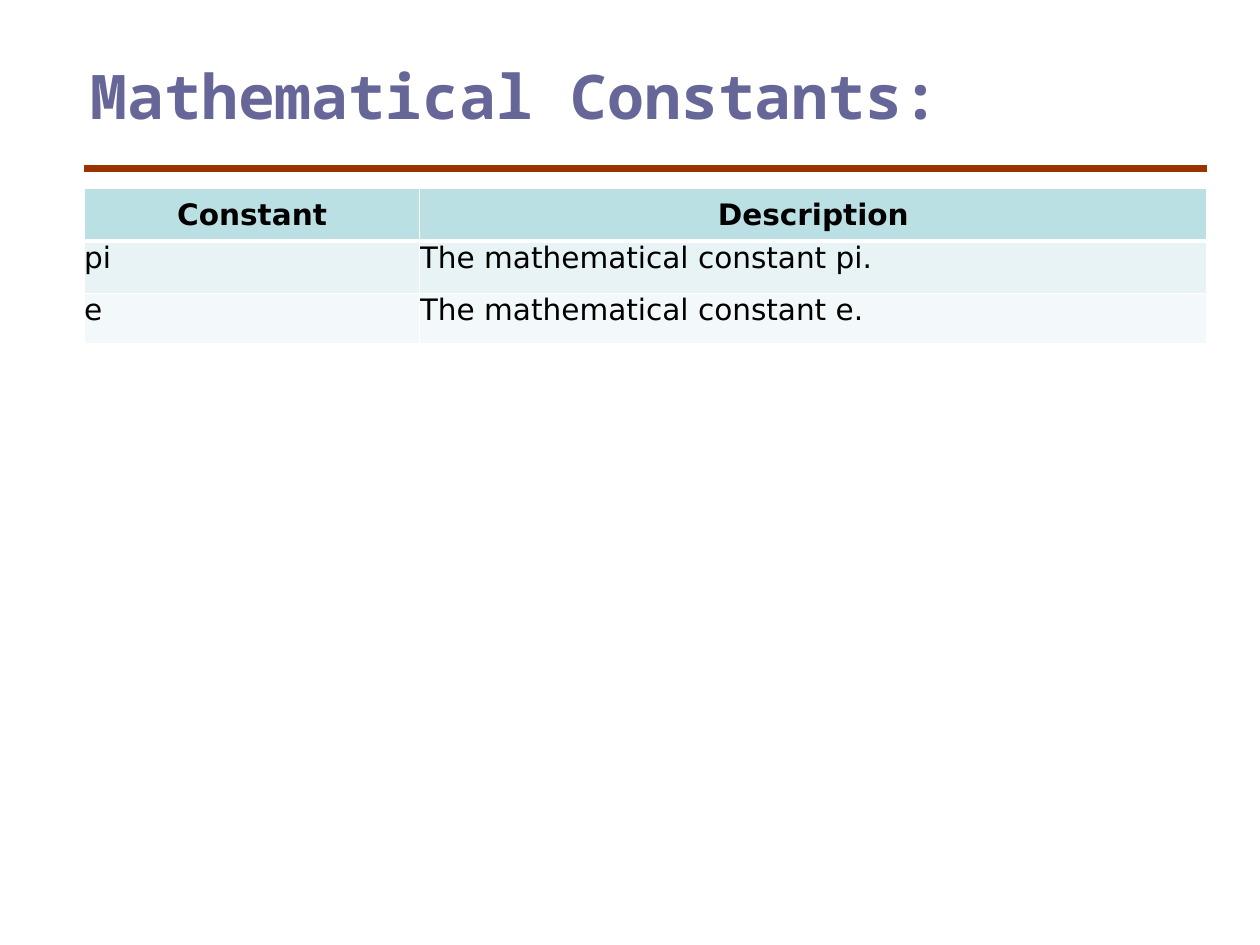
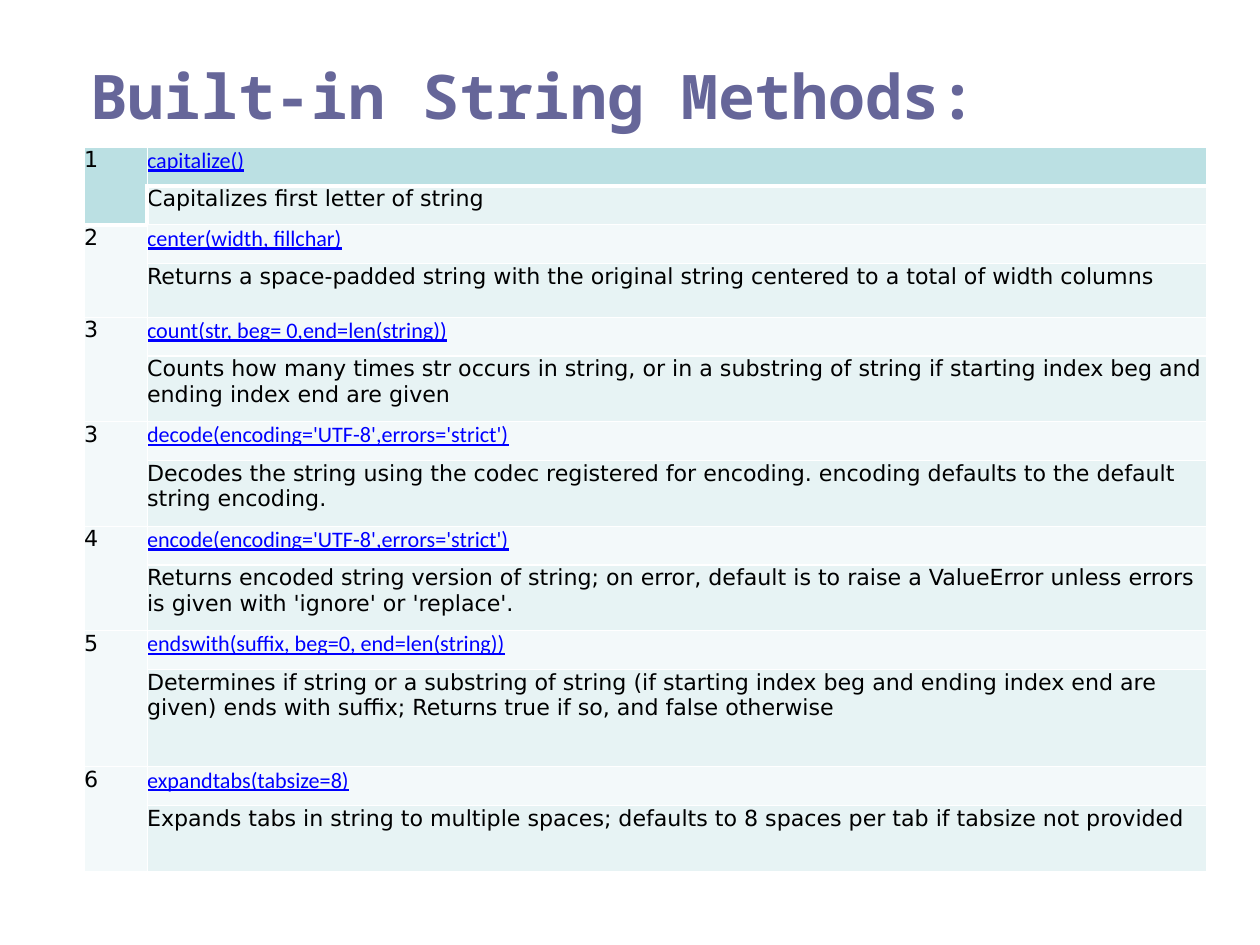
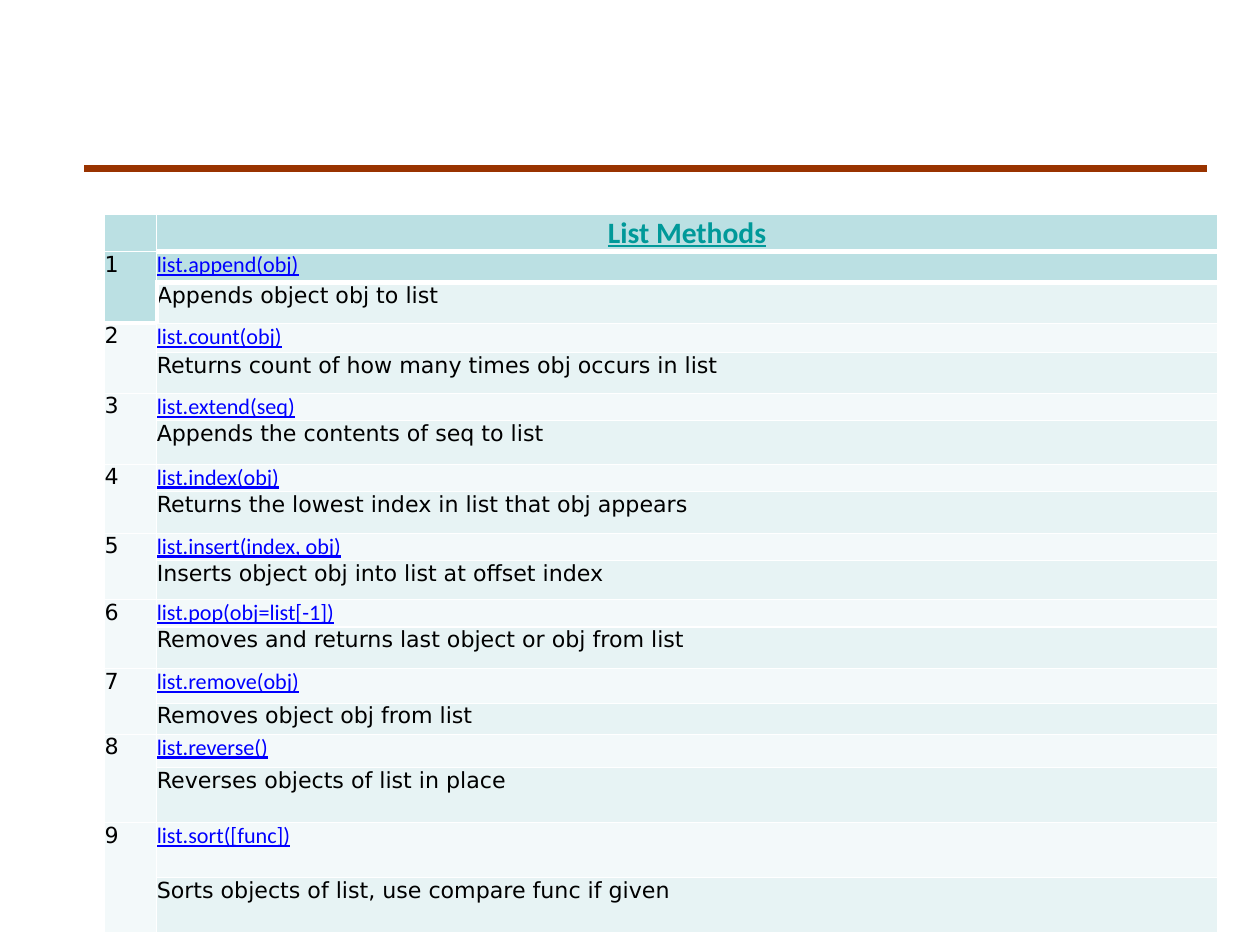
import dataclasses

import lxml.etree
import pptx
import pptx.dml.color
import pptx.enum.shapes
import pptx.enum.text
import pptx.oxml.ns
import pptx.util

ALIGN = pptx.enum.text.PP_ALIGN
ANCHOR = pptx.enum.text.MSO_ANCHOR


@dataclasses.dataclass(frozen=True)
class TextStyle:
    font: str
    size: int
    color: str
    bold: bool = False
    underline: bool = False


@dataclasses.dataclass(frozen=True)
class Theme:
    width: float = 14.22
    height: float = 10.67
    columns: int = 128
    rows: int = 96
    margin: float = 8.55
    content: float = 114.12
    rule_row: float = 17.1
    rule_color: str = "993300"
    rule_width: int = 6
    header_fill: str = "BBE0E3"
    dark_fill: str = "E7F3F4"
    light_fill: str = "F3F9FA"
    border_color: str = "FFFFFF"
    thin: int = 1
    heavy: int = 4
    title: TextStyle = TextStyle("Noto Sans Mono", 50, "666699", bold=True)
    heading: TextStyle = TextStyle("DejaVu Sans", 24, "000000", bold=True)
    large: TextStyle = TextStyle("DejaVu Sans", 24, "000000")
    body: TextStyle = TextStyle("DejaVu Sans", 18, "000000")
    method: TextStyle = TextStyle("Calibri", 18, "0000FF", underline=True)
    caption: TextStyle = TextStyle("Calibri", 24, "009999", bold=True, underline=True)


def rgb(color):
    return pptx.dml.color.RGBColor.from_string(color)


class Deck:
    """Holds the theme and the current slide; lengths are grid columns and rows."""

    def __init__(self, theme):
        self.theme = theme
        self.presentation = pptx.Presentation()
        self.presentation.slide_width = pptx.util.Inches(theme.width)
        self.presentation.slide_height = pptx.util.Inches(theme.height)
        self.slide = None

    def across(self, columns):
        return pptx.util.Inches(self.theme.width * columns / self.theme.columns)

    def down(self, rows):
        return pptx.util.Inches(self.theme.height * rows / self.theme.rows)

    def add_slide(self, title=None, title_rows=9.63):
        layout = self.presentation.slide_layouts[5 if title else 6]
        self.slide = self.presentation.slides.add_slide(layout)
        self.rule()
        if title:
            self.title(title, title_rows)

    def rule(self):
        theme = self.theme
        row = self.down(theme.rule_row)
        line = self.slide.shapes.add_connector(
            pptx.enum.shapes.MSO_CONNECTOR.STRAIGHT,
            self.across(theme.margin), row,
            self.across(theme.margin + theme.content), row)
        line.line.color.rgb = rgb(theme.rule_color)
        line.line.width = pptx.util.Pt(theme.rule_width)
        properties = line._element.spPr
        lxml.etree.SubElement(properties, pptx.oxml.ns.qn("a:effectLst"))

    def title(self, text, rows):
        shape = self.slide.shapes.title
        shape.left, shape.top = self.across(self.theme.margin), self.down(5.31)
        shape.width, shape.height = self.across(self.theme.content), self.down(rows)
        frame = shape.text_frame
        frame.word_wrap = True
        frame.auto_size = pptx.enum.text.MSO_AUTO_SIZE.NONE
        frame.vertical_anchor = ANCHOR.TOP
        inset = pptx.util.Inches(0.07)
        frame.margin_left = frame.margin_right = inset
        frame.margin_top = frame.margin_bottom = inset
        self.text(frame, text, self.theme.title)

    def text(self, frame, text, style, alignment=ALIGN.LEFT):
        paragraph = frame.paragraphs[0]
        paragraph.alignment = alignment
        run = paragraph.add_run()
        run.text = text
        run.font.name = style.font
        run.font.size = pptx.util.Pt(style.size)
        run.font.color.rgb = rgb(style.color)
        run.font.bold = style.bold
        run.font.underline = style.underline

    def table(self, left, top, widths, heights):
        """Adds a plain table with thin borders and no cell margins."""
        frame = self.slide.shapes.add_table(
            len(heights), len(widths), self.across(left), self.down(top),
            self.across(sum(widths)), self.down(sum(heights)))
        table = frame.table
        table.first_row = table.horz_banding = False
        for column, width in zip(table.columns, widths):
            column.width = self.across(width)
        for row, height in zip(table.rows, heights):
            row.height = self.down(height)
        for cell in table.iter_cells():
            cell.margin_left = cell.margin_right = 0
            cell.margin_top = cell.margin_bottom = 0
            self.borders(cell)
        return table

    def borders(self, cell, heavy=""):
        """Draws the four borders; sides named in heavy (of L, R, T, B) are thick."""
        qn = pptx.oxml.ns.qn
        properties = cell._tc.get_or_add_tcPr()
        for position, side in enumerate("LRTB"):
            tag = qn("a:ln" + side)
            for old in properties.findall(tag):
                properties.remove(old)
            points = self.theme.heavy if side in heavy else self.theme.thin
            line = lxml.etree.Element(tag, w=str(pptx.util.Pt(points)))
            fill = lxml.etree.SubElement(line, qn("a:solidFill"))
            lxml.etree.SubElement(fill, qn("a:srgbClr"), val=self.theme.border_color)
            properties.insert(position, line)

    def fill(self, cell, color):
        cell.fill.solid()
        cell.fill.fore_color.rgb = rgb(color)

    def cell(self, cell, text, style, color, heavy="", heading=False):
        self.fill(cell, color)
        self.borders(cell, heavy)
        cell.vertical_anchor = ANCHOR.MIDDLE if heading else ANCHOR.TOP
        self.text(cell.text_frame, text, style, ALIGN.CENTER if heading else ALIGN.LEFT)

    def constants_table(self, header, constants):
        theme = self.theme
        table = self.table(theme.margin, 19.17, [34.11, 79.92], [5.31, 5.31, 5.13])
        for column, text in enumerate(header):
            self.cell(table.cell(0, column), text, theme.heading, theme.header_fill, "B", True)
        for row, texts in enumerate(constants, 1):
            color = theme.dark_fill if row % 2 else theme.light_fill
            for column, text in enumerate(texts):
                self.cell(table.cell(row, column), text, theme.large, color,
                          "T" if row == 1 else "")

    def methods_table(self, left, top, widths, methods, caption=None, caption_rows=3.78):
        """Gives each method a numbered cell that spans its call and its description."""
        theme = self.theme
        heights = [caption_rows] if caption else []
        for *_, call_rows, description_rows in methods:
            heights += [call_rows, description_rows]
        table = self.table(left, top, widths, heights)
        start = 1 if caption else 0
        if caption:
            self.fill(table.cell(0, 0), theme.header_fill)
            self.cell(table.cell(0, 1), caption, theme.caption, theme.header_fill, "B", True)
        for index, (number, call, description, *_) in enumerate(methods):
            row = start + 2 * index
            first = index == 0
            color = theme.header_fill if first else theme.light_fill
            call_borders = ("TB" if caption else "B") if first else ""
            number_cell = table.cell(row, 0)
            number_cell.merge(table.cell(row + 1, 0))
            self.cell(number_cell, number, theme.body, color,
                      "B" if first else "T" if index == 1 else "")
            self.cell(table.cell(row, 1), call, theme.method, color, call_borders)
            self.cell(table.cell(row + 1, 1), description, theme.body, theme.dark_fill,
                      "LT" if first else "")


STRING_METHODS = [
    ("1", "capitalize()", "Capitalizes first letter of string", 3.96, 3.96),
    ("2", "center(width, fillchar)",
     "Returns a space-padded string with the original string centered to a total of "
     "width columns", 3.96, 5.4),
    ("3", "count(str, beg= 0,end=len(string))",
     "Counts how many times str occurs in string, or in a substring of string if "
     "starting index beg and ending index end are given", 3.96, 6.66),
    ("3", "decode(encoding='UTF-8',errors='strict')",
     "Decodes the string using the codec registered for encoding. encoding defaults to "
     "the default string encoding.", 3.96, 6.66),
    ("4", "encode(encoding='UTF-8',errors='strict')",
     "Returns encoded string version of string; on error, default is to raise a "
     "ValueError unless errors is given with 'ignore' or 'replace'.", 3.96, 6.66),
    ("5", "endswith(suffix, beg=0, end=len(string))",
     "Determines if string or a substring of string (if starting index beg and ending "
     "index end are given) ends with suffix; Returns true if so, and false otherwise",
     3.96, 9.9),
    ("6", "expandtabs(tabsize=8)",
     "Expands tabs in string to multiple spaces; defaults to 8 spaces per tab if "
     "tabsize not provided", 3.96, 6.66),
]

LIST_METHODS = [
    ("1", "list.append(obj)", "Appends object obj to list", 3.15, 4.14),
    ("2", "list.count(obj)", "Returns count of how many times obj occurs in list", 2.97, 4.14),
    ("3", "list.extend(seq)", "Appends the contents of seq to list", 2.79, 4.41),
    ("4", "list.index(obj)", "Returns the lowest index in list that obj appears", 2.79, 4.23),
    ("5", "list.insert(index, obj)", "Inserts object obj into list at offset index", 2.79, 3.96),
    ("6", "list.pop(obj=list[-1])", "Removes and returns last object or obj from list",
     2.79, 4.23),
    ("7", "list.remove(obj)", "Removes object obj from list", 3.51, 3.15),
    ("8", "list.reverse()", "Reverses objects of list in place", 3.42, 5.58),
    ("9", "list.sort([func])", "Sorts objects of list, use compare func if given", 5.58, 5.58),
]


def main():
    deck = Deck(Theme())

    deck.add_slide("Mathematical Constants:")
    deck.constants_table(("Constant", "Description"), [
        ("pi", "The mathematical constant pi."),
        ("e", "The mathematical constant e."),
    ])

    deck.add_slide("Built-in String Methods:", title_rows=16.02)
    deck.methods_table(deck.theme.margin, 14.94, [6.39, 107.64], STRING_METHODS)

    deck.add_slide()
    deck.methods_table(10.62, 21.78, [5.31, 107.73], LIST_METHODS, caption="List Methods")

    deck.presentation.save("out.pptx")


if __name__ == "__main__":
    main()
